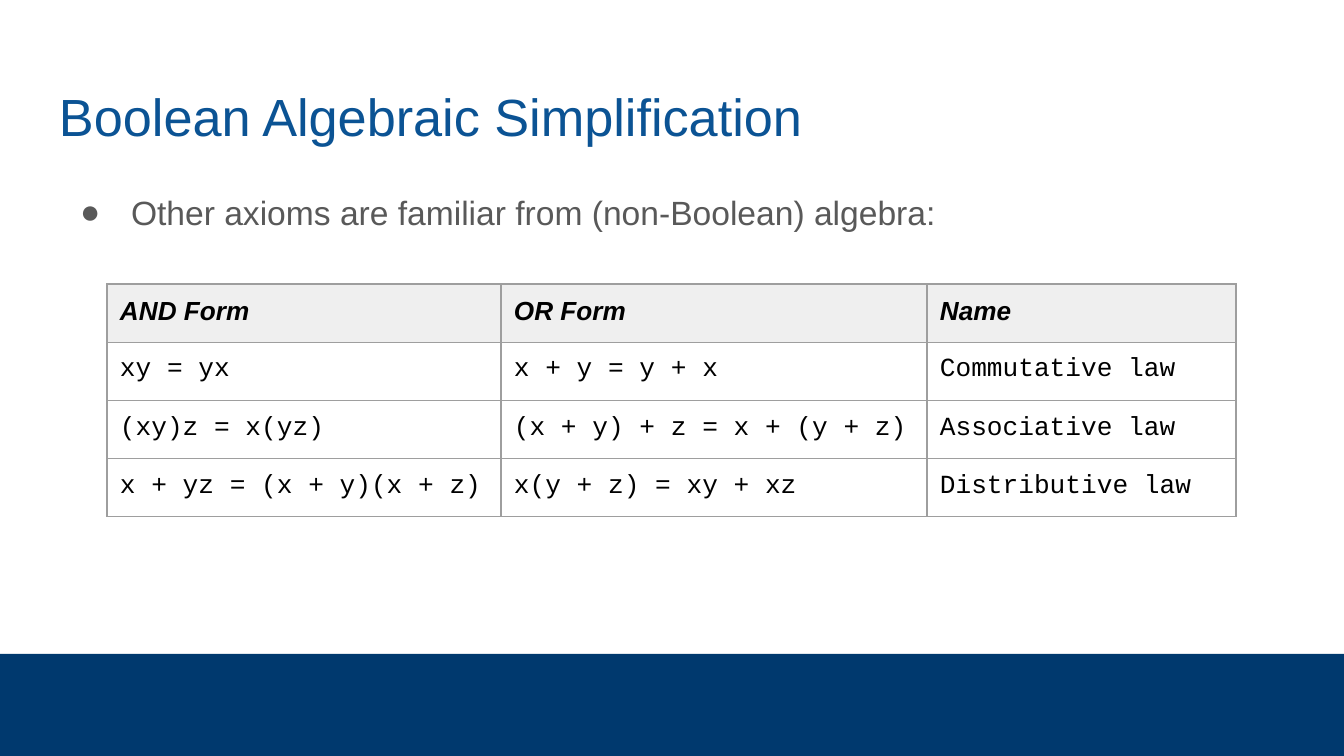
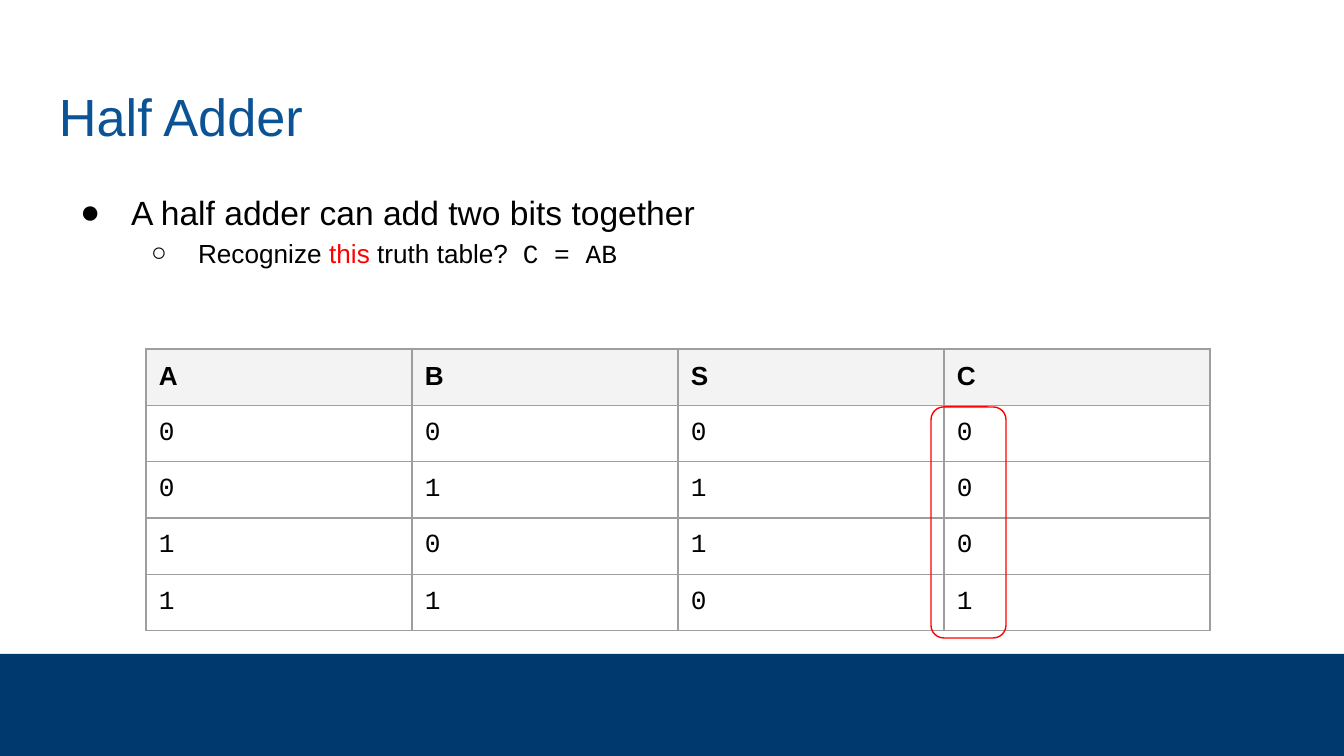
from lxml.etree import SubElement
from pptx import Presentation
from pptx.dml.color import RGBColor
from pptx.enum.shapes import MSO_SHAPE
from pptx.enum.text import MSO_ANCHOR, MSO_AUTO_SIZE, PP_ALIGN
from pptx.oxml.ns import qn
from pptx.util import Pt

NAVY = RGBColor(0x00, 0x39, 0x6E)
BLUE = RGBColor(0x0B, 0x53, 0x94)
GRAY = RGBColor(0x59, 0x59, 0x59)
BLACK = RGBColor(0x00, 0x00, 0x00)
RED = RGBColor(0xFF, 0x00, 0x00)
BORDER = RGBColor(0x9E, 0x9E, 0x9E)
AXIOM_HEADER = RGBColor(0xEF, 0xEF, 0xEF)
TRUTH_HEADER = RGBColor(0xF3, 0xF3, 0xF3)
SANS, MONO = "Arial", "Courier New"

EMU_PER_PX = 914400 / 134.4
SLIDE_SIZE = (1344, 756)
BAND = (0, 654, 1344, 102)
TITLE = (46, 66, 1252, 85)
BODY_LEFT, BODY_TOP, BODY_WIDTH = 51, 169, 1222
INSET = 13
INDENT = 67
LEVELS = [("●", 18, 51), ("○", 14, 47)]  # bullet, text size, hanging indent

# Each bullet is a level and its spans: text, colour, font.
SLIDES = [
    {
        "title": "Boolean Algebraic Simplification",
        "body_height": 93,
        "bullets": [
            (0, [("Other axioms are familiar from (non-Boolean) algebra:", GRAY, SANS)]),
        ],
        "table": {
            "rows": [
                ("AND Form", "OR Form", "Name"),
                ("xy = yx", "x + y = y + x", "Commutative law"),
                ("(xy)z = x(yz)", "(x + y) + z = x + (y + z)", "Associative law"),
                ("x + yz = (x + y)(x + z)", "x(y + z) = xy + xz", "Distributive law"),
            ],
            "left": 107, "top": 284, "height": 233,
            "columns": [394, 426, 309],
            "header_fill": AXIOM_HEADER, "header_italic": True,
        },
    },
    {
        "title": "Half Adder",
        "body_height": 493,
        "bullets": [
            (0, [("A half adder can add two bits together", BLACK, SANS)]),
            (1, [("Recognize ", BLACK, SANS), ("this ", RED, SANS),
                 ("truth table?  ", BLACK, SANS), ("C = AB", BLACK, MONO)]),
        ],
        "table": {
            "rows": ["ABSC", "0000", "0110", "1010", "1101"],
            "left": 146, "top": 349, "height": 282,
            "columns": [266] * 4,
            "header_fill": TRUTH_HEADER, "header_italic": False,
        },
        "highlight": (931, 407, 75, 231),
    },
]


def px(length):
    return round(length * EMU_PER_PX)


def place(shape, box):
    shape.left, shape.top, shape.width, shape.height = map(px, box)


def style(span, size, color, font=SANS, bold=False, italic=False):
    span.font.size = Pt(size)
    span.font.color.rgb = color
    span.font.name = font
    span.font.bold = bold
    span.font.italic = italic


def set_frame(frame, top_inset):
    frame.word_wrap = True
    frame.auto_size = MSO_AUTO_SIZE.NONE
    frame.vertical_anchor = MSO_ANCHOR.TOP
    frame.margin_left = frame.margin_right = px(INSET)
    frame.margin_top, frame.margin_bottom = px(top_inset), 0


def add_color(parent, color):
    SubElement(parent, qn("a:srgbClr"), val=str(color))


def add_band(slide, layout):
    """Draw the bottom band and hand it over to the layout all slides share."""
    band = slide.shapes.add_shape(MSO_SHAPE.RECTANGLE, *map(px, BAND))
    band.shadow.inherit = False
    band.fill.solid()
    band.fill.fore_color.rgb = NAVY
    band.line.fill.background()
    layout.shapes.element.insert(2, band.element)


def add_title(slide, text):
    title = slide.shapes.title
    place(title, TITLE)
    set_frame(title.text_frame, 18)
    title.text_frame.text = text
    para = title.text_frame.paragraphs[0]
    para.alignment = PP_ALIGN.LEFT
    style(para.runs[0], 28, BLUE)


def set_bullet(para, level, color):
    bullet, _, hanging = LEVELS[level]
    properties = para._p.get_or_add_pPr()
    properties.set("marL", str(px(INDENT * (level + 1))))
    properties.set("indent", str(-px(hanging)))
    add_color(SubElement(properties, qn("a:buClr")), color)
    SubElement(properties, qn("a:buFont"), typeface=SANS)
    SubElement(properties, qn("a:buChar"), char=bullet)


def add_bullets(slide, bullets, height):
    body = slide.placeholders[1]
    place(body, (BODY_LEFT, BODY_TOP, BODY_WIDTH, height))
    frame = body.text_frame
    set_frame(frame, 17)
    for index, (level, spans) in enumerate(bullets):
        para = frame.add_paragraph() if index else frame.paragraphs[0]
        para.level = level
        para.line_spacing = 1.15
        para.space_before = Pt(0)
        set_bullet(para, level, spans[0][1])
        for text, color, font in spans:
            span = para.add_run()
            span.text = text
            style(span, LEVELS[level][1], color, font)


def set_borders(cell):
    properties = cell._tc.get_or_add_tcPr()
    for side in ("a:lnL", "a:lnR", "a:lnT", "a:lnB"):
        line = SubElement(properties, qn(side), w=str(Pt(0.75)))
        add_color(SubElement(line, qn("a:solidFill")), BORDER)


def add_grid(slide, rows, left, top, height, columns, header_fill, header_italic):
    box = map(px, (left, top, sum(columns), height))
    table = slide.shapes.add_table(len(rows), len(columns), *box).table
    table.first_row = table.horz_banding = False
    for column, width in zip(table.columns, columns):
        column.width = px(width)
    for row_index, texts in enumerate(rows):
        table.rows[row_index].height = px(height / len(rows))
        for column_index, text in enumerate(texts):
            cell = table.cell(row_index, column_index)
            cell.margin_left = cell.margin_right = px(INSET)
            cell.margin_top = cell.margin_bottom = px(INSET)
            set_borders(cell)
            cell.text = text
            span = cell.text_frame.paragraphs[0].runs[0]
            if row_index == 0:
                cell.fill.solid()
                cell.fill.fore_color.rgb = header_fill
                style(span, 14, BLACK, bold=True, italic=header_italic)
            else:
                cell.fill.background()
                style(span, 14, BLACK, MONO)


def add_highlight(slide, box):
    outline = slide.shapes.add_shape(MSO_SHAPE.ROUNDED_RECTANGLE, *map(px, box))
    outline.shadow.inherit = False
    outline.adjustments[0] = 0.17
    outline.fill.background()
    outline.line.color.rgb = RED
    outline.line.width = Pt(0.75)


def main():
    deck = Presentation()
    deck.slide_width, deck.slide_height = map(px, SLIDE_SIZE)
    layout = deck.slide_layouts[1]
    for index, content in enumerate(SLIDES):
        slide = deck.slides.add_slide(layout)
        if index == 0:
            add_band(slide, layout)
        add_title(slide, content["title"])
        add_bullets(slide, content["bullets"], content["body_height"])
        add_grid(slide, **content["table"])
        if "highlight" in content:
            add_highlight(slide, content["highlight"])
    deck.save("out.pptx")


if __name__ == "__main__":
    main()
